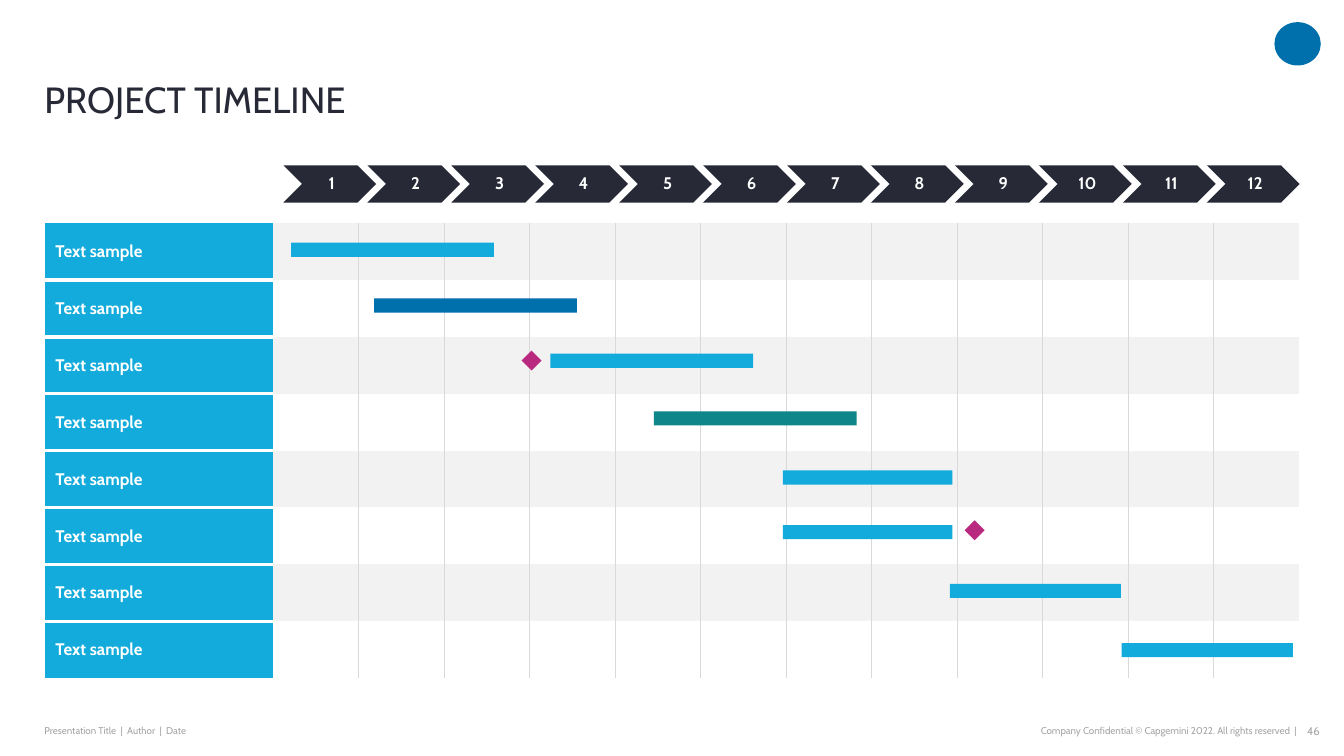
from pptx import Presentation
from pptx.dml.color import RGBColor
from pptx.enum.shapes import MSO_SHAPE
from pptx.enum.text import MSO_ANCHOR, PP_ALIGN
from pptx.oxml.ns import qn
from pptx.util import Inches, Pt
from lxml.etree import SubElement

FONT = "Cabin"
SKY, BLUE, TEAL, MAGENTA = "12ABDB", "0070AD", "0F878A", "BA2980"
NAVY, WHITE, BAND, GRID, GREY = "272936", "FFFFFF", "F2F2F2", "D9D9D9", "A6A6A6"

TITLE = "PROJECT TIMELINE"
MONTHS = [str(number) for number in range(1, 13)]
TASKS = ["Text sample"] * 8
# start and length in month columns, top in task rows
BARS = [
    (0.21, 2.37, 0.35, SKY),
    (1.18, 2.37, 1.33, BLUE),
    (3.24, 2.37, 2.30, SKY),
    (4.45, 2.37, 3.31, TEAL),
    (5.96, 1.98, 4.35, SKY),
    (5.96, 1.98, 5.31, SKY),
    (7.91, 2.00, 6.34, SKY),
    (9.92, 2.00, 7.38, SKY),
]
# centre in month columns and task rows
MILESTONES = [(3.02, 2.42), (8.20, 5.40)]
# left, top, width, text, size, alignment, anchor
FOOTERS = [
    (0.44, 7.13, 3.73, "Presentation Title  |  Author  |  Date", 7,
     PP_ALIGN.LEFT, MSO_ANCHOR.MIDDLE),
    (7.90, 7.13, 4.96, "Company Confidential © Capgemini 2022. All rights reserved  |", 7,
     PP_ALIGN.RIGHT, MSO_ANCHOR.MIDDLE),
    (12.84, 7.13, 0.25, "46", 8, PP_ALIGN.RIGHT, MSO_ANCHOR.MIDDLE),
]

TABLE_LEFT, TABLE_TOP, TABLE_WIDTH, TABLE_HEIGHT = 0.45, 2.21, 12.44, 4.52
LABEL_WIDTH = 2.26
GRID_LEFT = TABLE_LEFT + LABEL_WIDTH
COLUMN = (TABLE_WIDTH - LABEL_WIDTH) / len(MONTHS)
ROW = TABLE_HEIGHT / len(TASKS)
MARK = 0.14
CHEVRON_LEFT, CHEVRON_TOP, CHEVRON_WIDTH, CHEVRON_HEIGHT = 2.81, 1.64, 0.92, 0.37
CHEVRON_STEP = (TABLE_LEFT + TABLE_WIDTH - CHEVRON_WIDTH - CHEVRON_LEFT) / (len(MONTHS) - 1)


def color(value):
    return RGBColor.from_string(value)


def write(frame, text, size, text_color, bold=False, align=PP_ALIGN.LEFT, spacing=None):
    paragraph = frame.paragraphs[0]
    paragraph.alignment = align
    paragraph.line_spacing = spacing
    run = paragraph.add_run()
    run.text = text
    run.font.name = FONT
    run.font.size = Pt(size)
    run.font.bold = bold
    run.font.color.rgb = color(text_color)


def set_insets(frame, left, top, right, bottom):
    frame.margin_left, frame.margin_top = Inches(left), Inches(top)
    frame.margin_right, frame.margin_bottom = Inches(right), Inches(bottom)


def add_text(slide, left, top, width, height, anchor):
    frame = slide.shapes.add_textbox(
        Inches(left), Inches(top), Inches(width), Inches(height)).text_frame
    frame.word_wrap = True
    frame.vertical_anchor = anchor
    set_insets(frame, 0, 0, 0, 0)
    return frame


def add_block(slide, kind, left, top, width, height, fill):
    shape = slide.shapes.add_shape(
        kind, Inches(left), Inches(top), Inches(width), Inches(height))
    shape.shadow.inherit = False
    shape.fill.solid()
    shape.fill.fore_color.rgb = color(fill)
    shape.line.fill.background()
    return shape


def style_cell(cell, fill, borders):
    """Fill a cell; borders maps a side (L, R, T, B) to (colour, points)."""
    properties = cell._tc.get_or_add_tcPr()
    for side in "LRTB":
        line = SubElement(properties, qn(f"a:ln{side}"))
        if side in borders:
            line_color, points = borders[side]
            line.set("w", str(Pt(points)))
            solid = SubElement(line, qn("a:solidFill"))
            SubElement(solid, qn("a:srgbClr")).set("val", line_color)
        else:
            SubElement(line, qn("a:noFill"))
    cell.fill.solid()
    cell.fill.fore_color.rgb = color(fill)


def add_months(slide):
    for index, month in enumerate(MONTHS):
        chevron = add_block(slide, MSO_SHAPE.CHEVRON, CHEVRON_LEFT + index * CHEVRON_STEP,
                            CHEVRON_TOP, CHEVRON_WIDTH, CHEVRON_HEIGHT, NAVY)
        frame = chevron.text_frame
        frame.vertical_anchor = MSO_ANCHOR.MIDDLE
        set_insets(frame, 0.06, 0.02, 0.02, 0.02)
        write(frame, month, 12, WHITE, True, PP_ALIGN.CENTER, 0.9)


def add_task_table(slide):
    table = slide.shapes.add_table(
        len(TASKS), len(MONTHS) + 1, Inches(TABLE_LEFT), Inches(TABLE_TOP),
        Inches(TABLE_WIDTH), Inches(TABLE_HEIGHT)).table
    table.first_row = table.horz_banding = False
    for index, column in enumerate(table.columns):
        column.width = Inches(COLUMN if index else LABEL_WIDTH)
    for row, task in enumerate(TASKS):
        table.rows[row].height = Inches(ROW)
        label = table.cell(row, 0)
        borders = {}
        if row > 0:
            borders["T"] = (WHITE, 3)
        if row < len(TASKS) - 1:
            borders["B"] = (WHITE, 3)
        style_cell(label, SKY, borders)
        label.vertical_anchor = MSO_ANCHOR.MIDDLE
        write(label.text_frame, task, 12, WHITE, True)
        for month in range(1, len(MONTHS) + 1):
            borders = {}
            if month > 1:
                borders["L"] = (GRID, 1)
            if month < len(MONTHS):
                borders["R"] = (GRID, 1)
            style_cell(table.cell(row, month), WHITE if row % 2 else BAND, borders)


def add_schedule(slide):
    for start, length, top, fill in BARS:
        add_block(slide, MSO_SHAPE.RECTANGLE, GRID_LEFT + start * COLUMN,
                  TABLE_TOP + top * ROW, length * COLUMN, MARK, fill)
    for month, row in MILESTONES:
        milestone = add_block(slide, MSO_SHAPE.RECTANGLE, GRID_LEFT + month * COLUMN - MARK / 2,
                              TABLE_TOP + row * ROW - MARK / 2, MARK, MARK, MAGENTA)
        milestone.rotation = 45


def main():
    presentation = Presentation()
    presentation.slide_width, presentation.slide_height = Inches(13.33), Inches(7.5)
    slide = presentation.slides.add_slide(presentation.slide_layouts[6])
    add_block(slide, MSO_SHAPE.OVAL, 12.64, 0.22, 0.46, 0.43, BLUE)
    for left, top, width, text, size, align, anchor in FOOTERS:
        write(add_text(slide, left, top, width, 0.24, anchor), text, size, GREY, align=align)
    write(add_text(slide, 0.44, 0.42, 11.97, 0.78, MSO_ANCHOR.BOTTOM), TITLE, 26, NAVY, spacing=0.9)
    add_months(slide)
    add_task_table(slide)
    add_schedule(slide)
    presentation.save("out.pptx")


if __name__ == "__main__":
    main()
